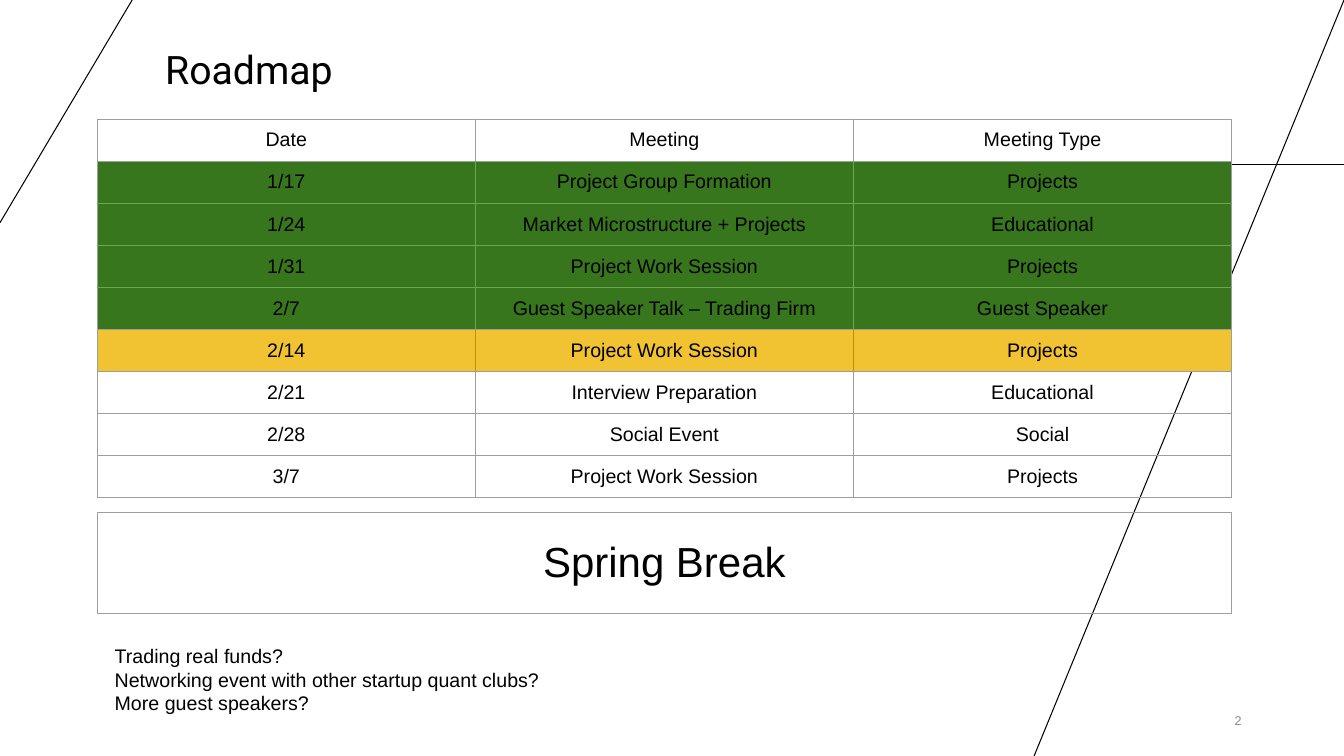
from pptx import Presentation
from pptx import oxml
from pptx.dml.color import RGBColor
from pptx.enum import shapes, text
from pptx.oxml import ns
from pptx.util import Cm, Pt


class Theme:
    ink, grey, rule = "000000", "888888", "9E9E9E"
    green, gold = "38761D", "F1C232"
    inner = {green: "6AA84F", gold: "BF9000"}
    font, head = "Arial", "Roboto"
    title, body, big, small = Pt(28), Pt(14), Pt(30), Pt(9)
    line, pad = Pt(0.75), Cm(0.25)


def style(para, size, align=text.PP_ALIGN.LEFT, font=Theme.font, color=Theme.ink):
    para.alignment = align
    para.font.size, para.font.name = size, font
    para.font.color.rgb = RGBColor.from_string(color)


def add_grid(rows, top, width, height, size, tones):
    """Place a centred, ruled table; tones maps row numbers to fills."""
    cols = len(rows[0])
    frame = slide.shapes.add_table(len(rows), cols, Cm(2.45), Cm(top),
                                   Cm(width * cols), Cm(height * len(rows)))
    grid = frame.table
    grid.first_row = grid.horz_banding = False
    for r, row in enumerate(rows):
        tone = tones.get(r)
        for c, word in enumerate(row):
            cell = grid.cell(r, c)
            cell.text = word
            cell.margin_left = cell.margin_right = Theme.pad
            cell.margin_top = cell.margin_bottom = Theme.pad
            cell.vertical_anchor = text.MSO_ANCHOR.MIDDLE
            style(cell.text_frame.paragraphs[0], size, text.PP_ALIGN.CENTER)
            # Edges between cells of one tone take that tone's rule
            near = {"L": c > 0, "R": c < cols - 1,
                    "T": tones.get(r - 1) == tone, "B": tones.get(r + 1) == tone}
            for side, same in near.items():
                color = Theme.inner.get(tone, Theme.rule) if same else Theme.rule
                cell._tc.get_or_add_tcPr().append(oxml.parse_xml(
                    f'<a:ln{side} {ns.nsdecls("a")} w="{Theme.line}"><a:solidFill>'
                    f'<a:srgbClr val="{color}"/></a:solidFill></a:ln{side}>'))
            if tone:
                cell.fill.solid()
                cell.fill.fore_color.rgb = RGBColor.from_string(tone)
            else:
                cell.fill.background()


deck = Presentation()
deck.slide_width, deck.slide_height = Cm(33.87), Cm(19.05)
slide = deck.slides.add_slide(deck.slide_layouts[5])

# Backdrop lines
for ends in [(25.27, 4.15, 33.87, 4.15), (33.87, 0, 26.06, 19.05), (0, 5.61, 3.33, 0)]:
    line = slide.shapes.add_connector(shapes.MSO_CONNECTOR.STRAIGHT, *map(Cm, ends))
    line.line.color.rgb = RGBColor.from_string(Theme.ink)
    line.line.width = Theme.line
    line._element.spPr.append(oxml.parse_xml(f'<a:effectLst {ns.nsdecls("a")}/>'))

# Title
title = slide.shapes.title
title.left, title.top, title.width, title.height = map(Cm, (3.91, 0.86, 20.24, 1.6))
title.text = "Roadmap"
title.text_frame.vertical_anchor = text.MSO_ANCHOR.BOTTOM
title.text_frame.auto_size = text.MSO_AUTO_SIZE.NONE
style(title.text_frame.paragraphs[0], Theme.title, font=Theme.head)
title.text_frame.paragraphs[0].line_spacing = 0.9

# Meeting plan: past weeks green, this week gold
plan = [
    ("Date", "Meeting", "Meeting Type"),
    ("1/17", "Project Group Formation", "Projects"),
    ("1/24", "Market Microstructure + Projects", "Educational"),
    ("1/31", "Project Work Session", "Projects"),
    ("2/7", "Guest Speaker Talk – Trading Firm", "Guest Speaker"),
    ("2/14", "Project Work Session", "Projects"),
    ("2/21", "Interview Preparation", "Educational"),
    ("2/28", "Social Event", "Social"),
    ("3/7", "Project Work Session", "Projects"),
]
tones = {**dict.fromkeys(range(1, 5), Theme.green), 5: Theme.gold}
add_grid(plan, 3, 9.53, 1.06, Theme.body, tones)

# Break
add_grid([("Spring Break",)], 12.91, 28.59, 2.54, Theme.big, {})

# Open questions
asks = slide.shapes.add_textbox(Cm(2.64), Cm(15.98), Cm(25.81), Cm(2.82)).text_frame
asks.word_wrap = True
asks.margin_left = asks.margin_top = asks.margin_right = asks.margin_bottom = Theme.pad
asks.text = ("Trading real funds?\nNetworking event with other startup quant clubs?\n"
             "More guest speakers?")
for para in asks.paragraphs:
    style(para, Theme.body)

# Page number
page = slide.shapes.add_textbox(Cm(28.8), Cm(17.65), Cm(2.74), Cm(1.02)).text_frame
page.word_wrap = True
page.vertical_anchor = text.MSO_ANCHOR.MIDDLE
page.text = "2"
style(page.paragraphs[0], Theme.small, text.PP_ALIGN.RIGHT, color=Theme.grey)

deck.save("out.pptx")
